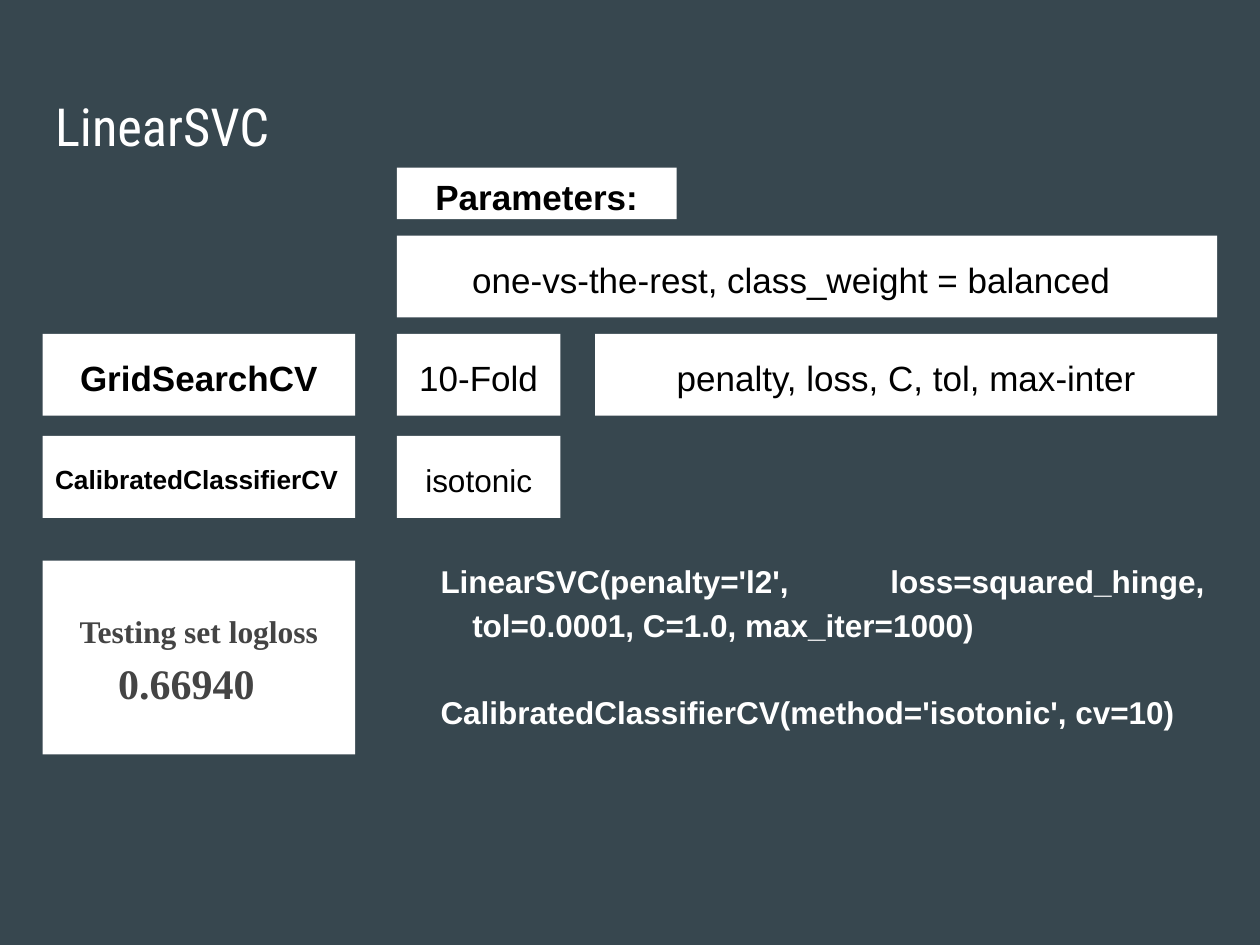
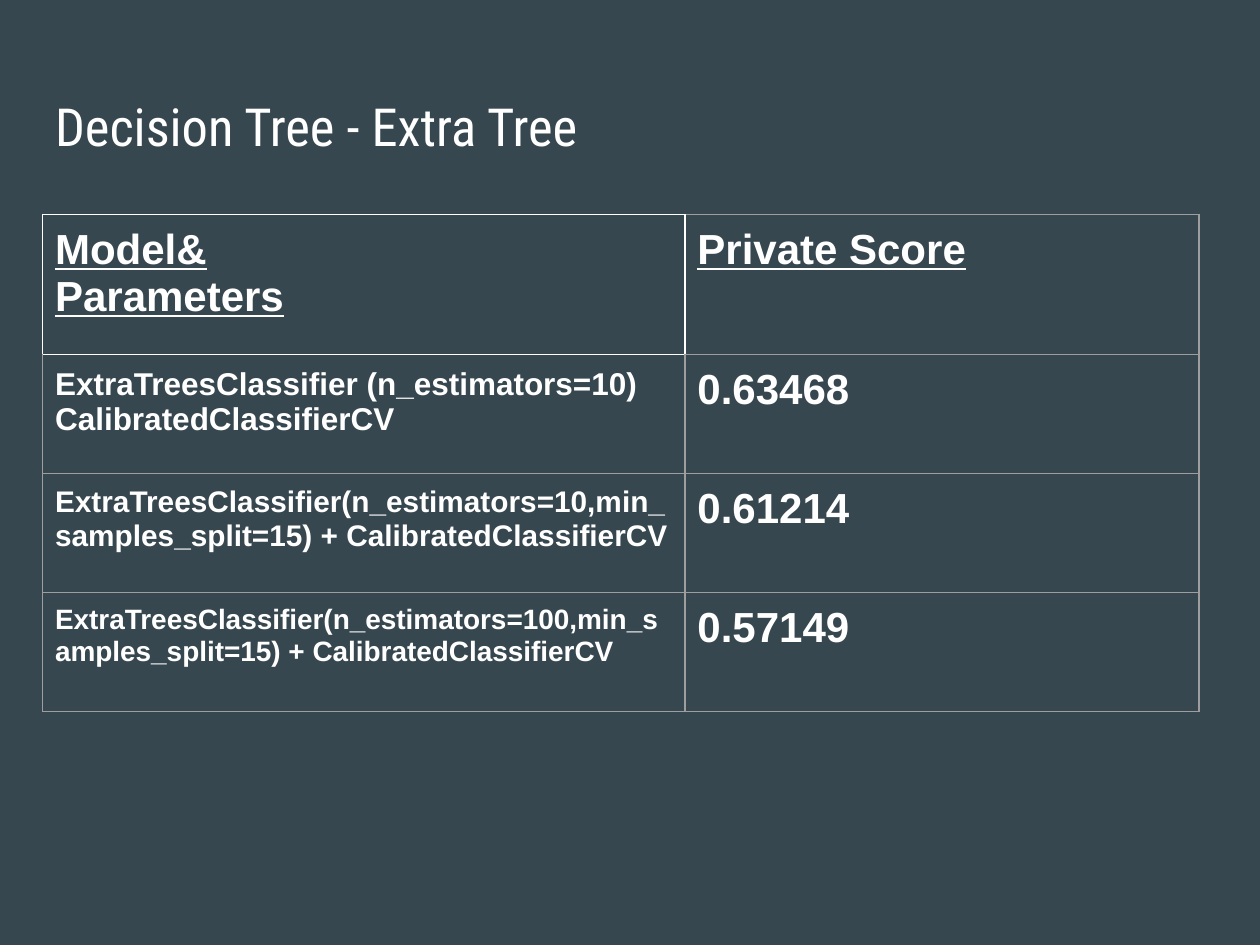
import dataclasses

import pptx
import pptx.dml.color
import pptx.enum.shapes
import pptx.enum.text
import pptx.oxml.ns
import pptx.util
from lxml import etree

Cm = pptx.util.Cm
Pt = pptx.util.Pt
ALIGN = pptx.enum.text.PP_ALIGN
ANCHOR = pptx.enum.text.MSO_ANCHOR


@dataclasses.dataclass(frozen=True)
class Theme:
    background: str = "37474F"
    light: str = "FFFFFF"
    dark: str = "000000"
    score: str = "444444"
    grid: str = "9E9E9E"
    title_font: str = "Roboto Condensed"
    body_font: str = "Arial"
    score_font: str = "Times New Roman"
    title_size: int = 30
    large: int = 24
    label: int = 20
    body: int = 18
    small: int = 15
    model_sizes: tuple = (18, 17, 16)
    inset: float = 0.25
    border: float = 0.75
    spacing: float = 1.15


THEME = Theme()


@dataclasses.dataclass
class Line:
    """One paragraph: its wording, character style and layout (lengths in cm)."""
    text: str
    size: int = THEME.label
    color: str = THEME.dark
    font: str = THEME.body_font
    bold: bool = False
    underline: bool = False
    align: ALIGN = ALIGN.CENTER
    margin: float = 0
    indent: float = 0
    space_before: int = 0
    spacing: float = THEME.spacing


def rgb(value):
    return pptx.dml.color.RGBColor.from_string(value)


class Deck:
    def __init__(self, theme):
        self.theme = theme
        self.presentation = pptx.Presentation()
        self.presentation.slide_width = Cm(25.4)
        self.presentation.slide_height = Cm(19.05)
        fill = self.presentation.slide_master.background.fill
        fill.solid()
        fill.fore_color.rgb = rgb(theme.background)
        self.slide = None

    def new_slide(self, title, layout_name):
        layout = self.presentation.slide_layouts.get_by_name(layout_name)
        self.slide = self.presentation.slides.add_slide(layout)
        line = Line(title, self.theme.title_size, self.theme.light,
                    self.theme.title_font, align=ALIGN.LEFT, spacing=1)
        self.fill_placeholder(self.slide.shapes.title, (0.86, 1.65, 23.67, 2.11), [line])

    def fill_placeholder(self, shape, box, lines):
        shape.left, shape.top, shape.width, shape.height = map(Cm, box)
        self.set_text(shape.text_frame, lines, ANCHOR.TOP)

    def body(self, box, lines):
        self.fill_placeholder(self.slide.placeholders[1], box, lines)

    def panel(self, box, *lines):
        shape = self.slide.shapes.add_shape(
            pptx.enum.shapes.MSO_SHAPE.RECTANGLE, *map(Cm, box))
        shape.shadow.inherit = False
        shape.fill.solid()
        shape.fill.fore_color.rgb = rgb(self.theme.light)
        shape.line.fill.background()
        self.set_text(shape.text_frame, lines, ANCHOR.MIDDLE)

    def set_text(self, frame, lines, anchor):
        frame.word_wrap = True
        frame.auto_size = pptx.enum.text.MSO_AUTO_SIZE.NONE
        frame.vertical_anchor = anchor
        self.set_margins(frame)
        self.add_lines(frame, lines)

    def set_margins(self, target):
        inset = Cm(self.theme.inset)
        target.margin_left = target.margin_right = inset
        target.margin_top = target.margin_bottom = inset

    def add_lines(self, frame, lines):
        for index, line in enumerate(lines):
            paragraph = frame.add_paragraph() if index else frame.paragraphs[0]
            paragraph.alignment = line.align
            paragraph.line_spacing = line.spacing
            paragraph.space_before = Pt(line.space_before)
            properties = paragraph._p.get_or_add_pPr()
            properties.set("marL", str(Cm(line.margin)))
            properties.set("indent", str(Cm(line.indent)))
            etree.SubElement(properties, pptx.oxml.ns.qn("a:buNone"))
            run = paragraph.add_run()
            run.text = line.text
            run.font.name = line.font
            run.font.size = Pt(line.size)
            run.font.bold = line.bold
            run.font.underline = line.underline
            run.font.color.rgb = rgb(line.color)

    def table(self, left, top, widths, heights, rows):
        """Draw a grid whose first cell is outlined in the light colour."""
        table = self.slide.shapes.add_table(
            len(heights), len(widths), Cm(left), Cm(top),
            Cm(sum(widths)), Cm(sum(heights))).table
        table.first_row = table.horz_banding = False
        for column, width in zip(table.columns, widths):
            column.width = Cm(width)
        for row, height in zip(table.rows, heights):
            row.height = Cm(height)
        for row_index, row in enumerate(rows):
            for column_index, lines in enumerate(row):
                cell = table.cell(row_index, column_index)
                self.set_margins(cell)
                self.add_lines(cell.text_frame, lines)
                light_sides = {(0, 0): "LRTB", (0, 1): "L", (1, 0): "T"}.get(
                    (row_index, column_index), "")
                self.cell_borders(cell, light_sides)
                cell.fill.background()

    def cell_borders(self, cell, light_sides):
        qn = pptx.oxml.ns.qn
        properties = cell._tc.get_or_add_tcPr()
        for side in "LRTB":
            color = self.theme.light if side in light_sides else self.theme.grid
            border = etree.SubElement(properties, qn(f"a:ln{side}"),
                                      w=str(Pt(self.theme.border)))
            fill = etree.SubElement(border, qn("a:solidFill"))
            etree.SubElement(fill, qn("a:srgbClr"), val=color)


def build_linear_svc(deck):
    theme = deck.theme
    label_x, value_x, options_x = 0.86, 8, 12
    label_width, value_width, right_edge = 6.3, 3.3, 24.54
    general_y, search_y, calibration_y, result_y = 4.75, 6.73, 8.79, 11.3
    row_height, result_height = 1.65, 3.91
    full_width = right_edge - value_x

    deck.new_slide("LinearSVC", "Title and Content")
    code_style = dict(size=theme.body, color=theme.light, bold=True,
                      align=ALIGN.JUSTIFY, margin=1.27, indent=-0.64)
    deck.body((value_x, 10.97, full_width, 4.24), [
        Line("LinearSVC(penalty='l2', loss=squared_hinge, tol=0.0001, C=1.0, max_iter=1000)",
             **code_style),
        Line("CalibratedClassifierCV(method='isotonic', cv=10)", space_before=25, **code_style),
    ])

    deck.panel((value_x, 3.38, 5.64, 1.04), Line("Parameters:", bold=True))
    deck.panel((value_x, general_y, full_width, row_height),
               Line("one-vs-the-rest, class_weight = balanced", align=ALIGN.JUSTIFY, indent=1.27))
    deck.panel((label_x, search_y, label_width, row_height), Line("GridSearchCV", bold=True))
    deck.panel((value_x, search_y, value_width, row_height), Line("10-Fold"))
    deck.panel((options_x, search_y, right_edge - options_x, row_height),
               Line("penalty, loss, C, tol, max-inter"))
    deck.panel((label_x, calibration_y, label_width, row_height),
               Line("CalibratedClassifierCV", theme.small, bold=True, align=ALIGN.JUSTIFY))
    deck.panel((value_x, calibration_y, value_width, row_height), Line("isotonic", theme.body))

    score_style = dict(color=theme.score, font=theme.score_font, bold=True)
    deck.panel((label_x, result_y, label_width, result_height),
               Line("Testing set logloss", theme.body, **score_style),
               Line("0.66940", theme.large, align=ALIGN.JUSTIFY, indent=1.27, **score_style))


def build_extra_tree(deck):
    theme = deck.theme

    def cell(*texts, size=theme.large, underline=False):
        return [Line(text, size, theme.light, bold=True, underline=underline,
                     align=ALIGN.LEFT, spacing=1) for text in texts]

    results = [
        ("ExtraTreesClassifier (n_estimators=10) CalibratedClassifierCV", "0.63468"),
        ("ExtraTreesClassifier(n_estimators=10,min_samples_split=15) + CalibratedClassifierCV",
         "0.61214"),
        ("ExtraTreesClassifier(n_estimators=100,min_samples_split=15) + CalibratedClassifierCV",
         "0.57149"),
    ]
    rows = [[cell("Model&", "Parameters", underline=True), cell("Private Score", underline=True)]]
    rows += [[cell(model, size=size), cell(score)]
             for (model, score), size in zip(results, theme.model_sizes)]

    deck.new_slide("Decision Tree - Extra Tree", "Title Only")
    deck.table(0.86, 4.32, [12.95, 10.36], [2.82] + [2.4] * len(results), rows)


def main():
    deck = Deck(THEME)
    build_linear_svc(deck)
    build_extra_tree(deck)
    deck.presentation.save("out.pptx")


if __name__ == "__main__":
    main()
